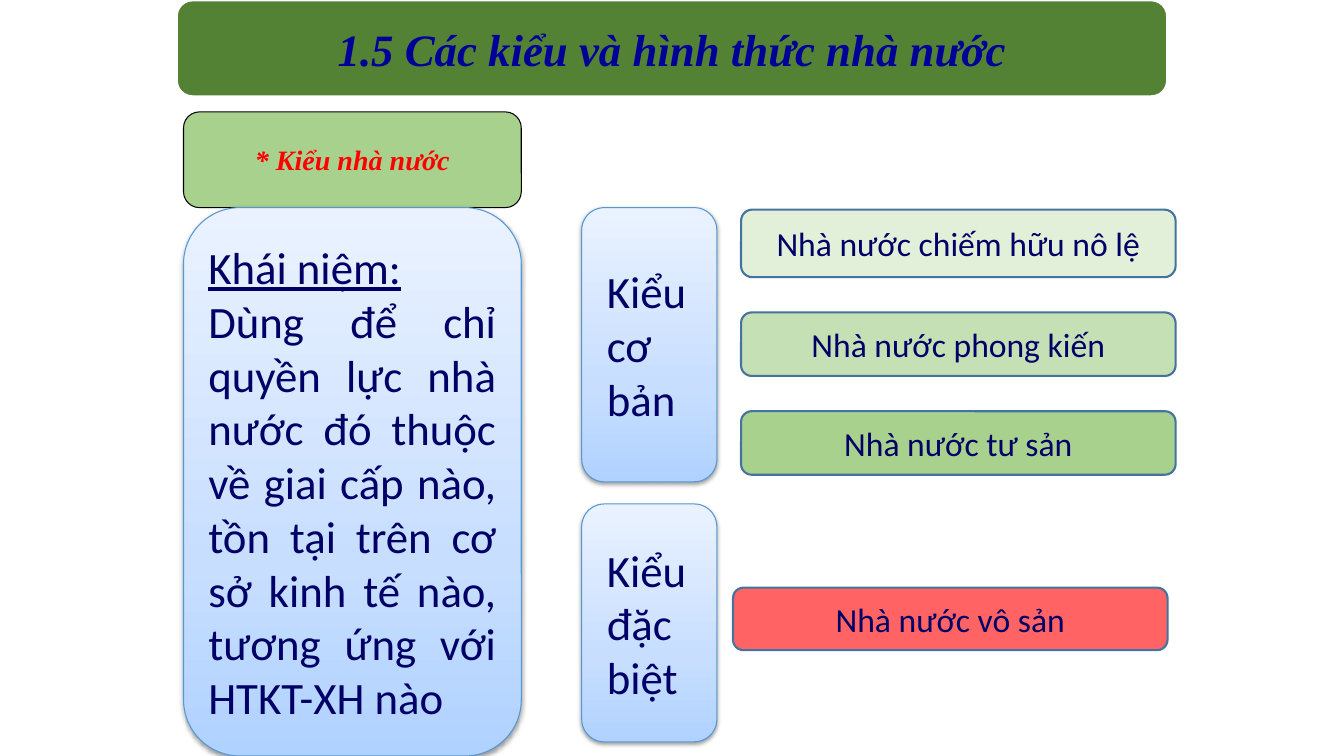
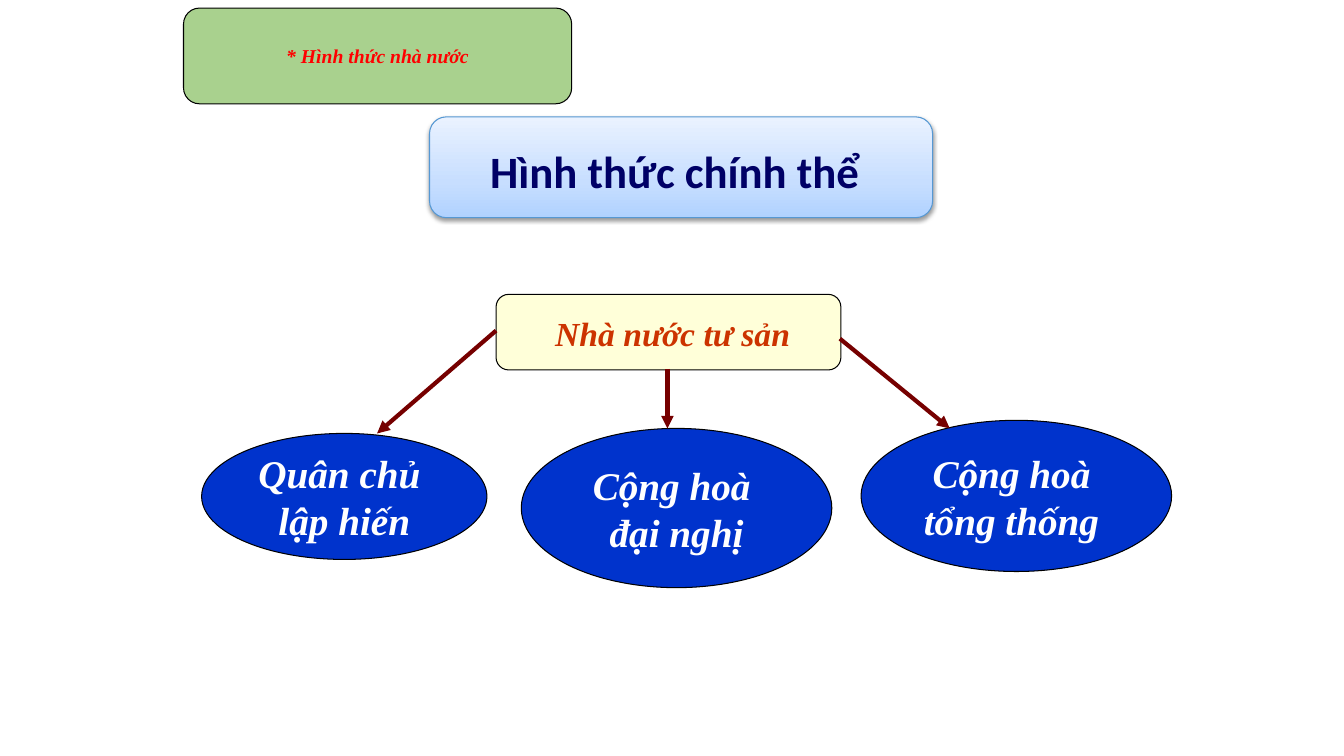
import copy
from dataclasses import dataclass
from typing import Optional

import pptx
import pptx.dml.color
import pptx.enum.dml
import pptx.enum.shapes
import pptx.enum.text
import pptx.oxml
import pptx.oxml.ns
import pptx.util

Inches = pptx.util.Inches
Shape = pptx.enum.shapes.MSO_SHAPE
Align = pptx.enum.text.PP_ALIGN
qn = pptx.oxml.ns.qn


@dataclass(frozen=True)
class Theme:
    serif: str = "Times New Roman"
    sans: str = "Calibri"
    banner: str = "548235"
    tag: str = "A9D18E"
    cream: str = "FFFFD9"
    oval: str = "0033CC"
    white: str = "FFFFFF"
    black: str = "000000"
    title_ink: str = "000099"
    ink: str = "000066"
    red: str = "FF0000"
    rust: str = "CC3300"
    arrow: str = "760000"
    chip_line: str = "43739E"
    panel_line: str = "5698D3"
    panel_stops: tuple = ((0, "B0D2FF"), (0.35, "C7DEFF"), (1, "EAF2FF"))
    large: int = 32
    oval_size: int = 28
    medium: int = 24
    tag_size: int = 20
    small: int = 14


THEME = Theme()


@dataclass(frozen=True)
class Area:
    left: float
    top: float
    width: float
    height: float


@dataclass(frozen=True)
class Chip:
    text: str
    area: Area
    fill: str
    opacity: Optional[int] = None


@dataclass(frozen=True)
class Oval:
    lines: tuple
    area: Area


@dataclass(frozen=True)
class Arrow:
    start: tuple
    end: tuple


CHIPS = (
    Chip("Nhà nước chiếm hữu nô lệ", Area(7.35, 2.08, 4.31, 0.67), "E2F0D9"),
    Chip("Nhà nước phong kiến", Area(7.35, 3.1, 4.31, 0.63), "C5E0B4"),
    Chip("Nhà nước tư sản", Area(7.35, 4.08, 4.31, 0.63), THEME.tag),
    Chip("Nhà nước vô sản", Area(7.27, 5.83, 4.31, 0.62), THEME.red, 61),
)
OVALS = (
    Oval(("Quân chủ ", "lập hiến"), Area(2, 4.3, 2.83, 1.25)),
    Oval(("Cộng hoà ", "đại nghị"), Area(5.17, 4.25, 3.08, 1.58)),
    Oval(("Cộng hoà ", "tổng thống "), Area(8.54, 4.17, 3.08, 1.5)),
)
ARROWS = (
    Arrow((4.92, 3.28), (3.74, 4.3)),
    Arrow((6.62, 3.66), (6.62, 4.25)),
    Arrow((8.33, 3.36), (9.42, 4.25)),
)


def rgb(value: str):
    return pptx.dml.color.RGBColor.from_string(value)


def add_xml(parent, tag: str, **attributes):
    """Append a DrawingML element to its parent."""
    child = parent.makeelement(qn(tag), attributes)
    parent.append(child)
    return child


# Text and shapes

def write(box, *lines: str, size: int, color: str, font: str = THEME.sans,
          bold: bool = False, italic: bool = False, underline_first: bool = False,
          align=Align.CENTER, wrap: bool = True,
          insets: tuple = (0.1, 0.05, 0.1, 0.05)) -> None:
    frame = box.text_frame
    frame.word_wrap = wrap
    frame.vertical_anchor = pptx.enum.text.MSO_ANCHOR.MIDDLE
    (frame.margin_left, frame.margin_top,
     frame.margin_right, frame.margin_bottom) = map(Inches, insets)
    for index, line in enumerate(lines):
        para = frame.add_paragraph() if index else frame.paragraphs[0]
        para.alignment = align
        span = para.add_run()
        span.text = line
        span.font.name = font
        span.font.size = pptx.util.Pt(size)
        span.font.bold = bold
        span.font.italic = italic
        span.font.underline = underline_first and index == 0
        span.font.color.rgb = rgb(color)


def add_box(page, kind, area: Area, fill: str, line: str = THEME.black,
            weight: float = 0.75):
    box = page.shapes.add_shape(kind, Inches(area.left), Inches(area.top),
                                Inches(area.width), Inches(area.height))
    box.shadow.inherit = False
    box.fill.solid()
    box.fill.fore_color.rgb = rgb(fill)
    box.line.color.rgb = rgb(line)
    box.line.width = pptx.util.Pt(weight)
    return box


def add_tag(page, area: Area, text: str, size: int) -> None:
    box = add_box(page, Shape.FLOWCHART_ALTERNATE_PROCESS, area, THEME.tag)
    write(box, text, size=size, color=THEME.red, font=THEME.serif,
          bold=True, italic=True, wrap=False)


def add_panel(page, area: Area):
    """Rounded panel with an upward blue gradient and a soft shadow."""
    box = add_box(page, Shape.ROUNDED_RECTANGLE, area, THEME.white, THEME.panel_line)
    box.fill.gradient()
    box.fill.gradient_angle = 90
    properties = box._element.spPr
    stops = properties.find(qn("a:gradFill")).find(qn("a:gsLst"))
    stops.append(copy.deepcopy(stops[-1]))
    for stop, (position, color) in zip(box.fill.gradient_stops, THEME.panel_stops):
        stop.position = position
        stop.color.rgb = rgb(color)
    for stop in stops:
        for modifier in list(stop[0]):
            stop[0].remove(modifier)
    shadow = add_xml(properties.find(qn("a:effectLst")), "a:outerShdw",
                     blurRad="40000", dist="20000", dir="5400000", rotWithShape="0")
    color = add_xml(shadow, "a:srgbClr", val=THEME.black)
    add_xml(color, "a:alpha", val="38000")
    return box


def add_text_panel(page, area: Area, *lines: str, underline_first: bool = False) -> None:
    # The round corners already indent the text by about 5 % of the short side
    side = 0.25 - 0.05 * min(area.width, area.height)
    write(add_panel(page, area), *lines, size=THEME.large, color=THEME.ink,
          align=Align.JUSTIFY, underline_first=underline_first,
          insets=(side, 0, side, 0))


def add_chip(page, chip: Chip) -> None:
    box = add_box(page, Shape.ROUNDED_RECTANGLE, chip.area, chip.fill,
                  THEME.chip_line, 1.5)
    if chip.opacity is not None:
        color = box._element.spPr.find(qn("a:solidFill"))[0]
        add_xml(color, "a:alpha", val=str(chip.opacity * 1000))
    write(box, chip.text, size=THEME.medium, color=THEME.ink)


def add_oval(page, oval: Oval) -> None:
    box = add_box(page, Shape.OVAL, oval.area, THEME.oval)
    write(box, *oval.lines, size=THEME.oval_size, color=THEME.white,
          font=THEME.serif, bold=True, italic=True, wrap=False)


def add_arrow(page, arrow: Arrow) -> None:
    line = page.shapes.add_connector(pptx.enum.shapes.MSO_CONNECTOR.STRAIGHT,
                                     *map(Inches, arrow.start + arrow.end))
    line.line.color.rgb = rgb(THEME.arrow)
    line.line.width = pptx.util.Pt(3)
    add_xml(line.line._get_or_add_ln(), "a:tailEnd", type="triangle")
    add_xml(line._element.spPr, "a:effectLst")


# Slides

def build_types(page) -> None:
    banner = add_box(page, Shape.ROUNDED_RECTANGLE, Area(1.75, 0, 9.83, 0.96),
                     THEME.banner, THEME.white, 2)
    write(banner, "1.5 Các kiểu và hình thức nhà nước", size=THEME.large,
          color=THEME.title_ink, font=THEME.serif, bold=True, italic=True)
    add_tag(page, Area(1.82, 1.11, 3.35, 0.95), "* Kiểu nhà nước", THEME.tag_size)
    add_text_panel(page, Area(1.82, 2.06, 3.35, 5.44), "Khái niệm:",
                   "Dùng để chỉ quyền lực nhà nước đó thuộc về giai cấp nào, "
                   "tồn tại trên cơ sở kinh tế nào, tương ứng với HTKT-XH nào",
                   underline_first=True)
    add_text_panel(page, Area(5.77, 2.06, 1.34, 2.72), "Kiểu cơ bản")
    add_text_panel(page, Area(5.77, 5, 1.34, 2.36), "Kiểu đặc biệt")
    for chip in CHIPS:
        add_chip(page, chip)


def build_forms(page) -> None:
    add_tag(page, Area(1.82, 0.08, 3.85, 0.95), "* Hình thức nhà nước", THEME.small)
    heading = add_panel(page, Area(4.26, 1.16, 4.99, 1))
    write(heading, "Hình thức chính thể", size=THEME.large, color=THEME.ink,
          bold=True, insets=(0.1, 0.07, 0.22, 0))
    root = add_box(page, Shape.FLOWCHART_ALTERNATE_PROCESS,
                   Area(4.92, 2.92, 3.42, 0.75), THEME.cream)
    write(root, "Nhà nước tư sản", size=THEME.medium, color=THEME.rust,
          font=THEME.serif, bold=True, italic=True, wrap=False,
          insets=(0.18, 0.07, 0.1, 0.05))
    for oval in OVALS:
        add_oval(page, oval)
    for arrow in ARROWS:
        add_arrow(page, arrow)


def main() -> None:
    deck = pptx.Presentation()
    deck.slide_width, deck.slide_height = Inches(13.33), Inches(7.5)
    for build in (build_types, build_forms):
        build(deck.slides.add_slide(deck.slide_layouts[6]))
    deck.save("out.pptx")


if __name__ == "__main__":
    main()
